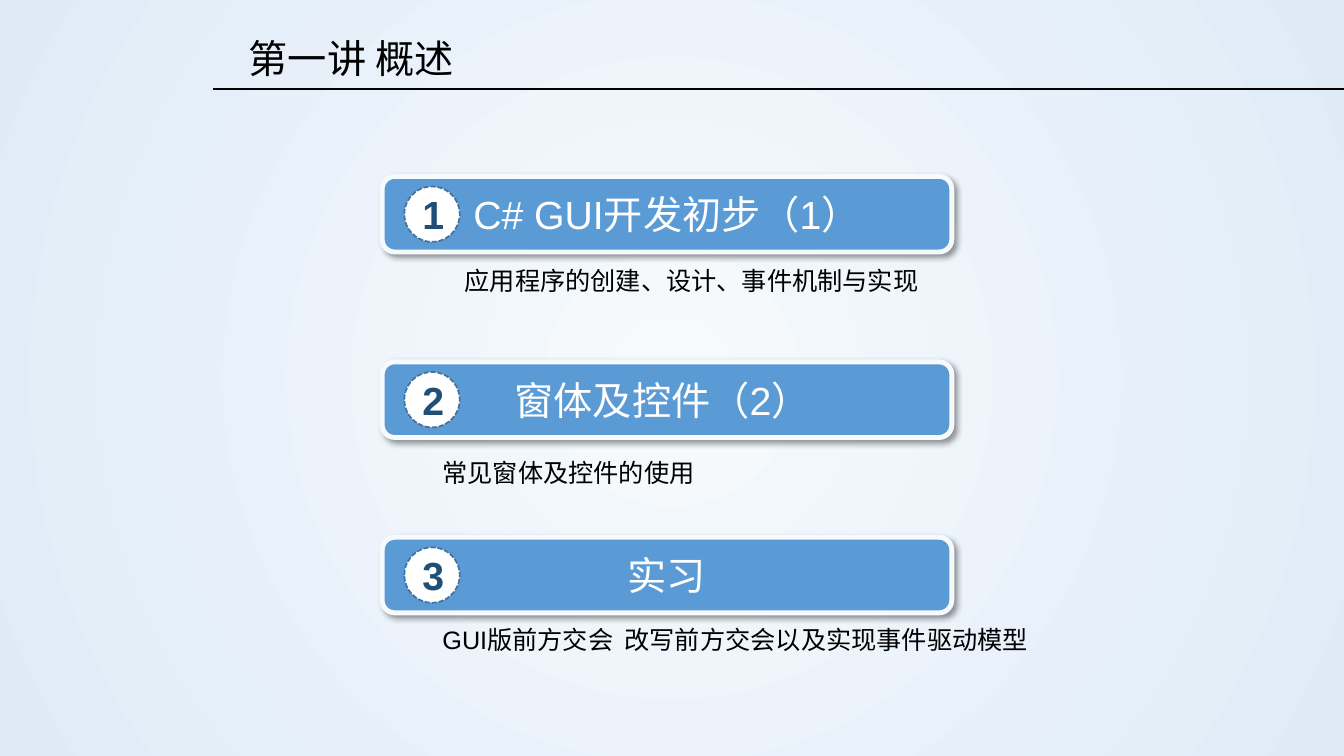
from lxml import etree
from pptx import Presentation
from pptx.dml.color import RGBColor as RGB
from pptx.enum.dml import MSO_LINE as Dash
from pptx.enum.shapes import MSO_CONNECTOR as Conn, MSO_SHAPE as Kind
from pptx.enum.text import MSO_ANCHOR as Anchor, PP_ALIGN as Align
from pptx.oxml import parse_xml
from pptx.oxml.ns import nsdecls, qn
from pptx.util import Inches, Pt


def color(code):
    return RGB.from_string(code)


def write(shape, text, size, code, bold=False, **form):
    frame = shape.text_frame
    frame.word_wrap = True
    para = frame.paragraphs[0]
    for name, value in form.items():
        setattr(frame if name == "vertical_anchor" else para, name, value)
    run = para.add_run()
    run.text = text
    looks = {"name": "Arial", "size": Pt(size), "bold": bold}
    for name, value in looks.items():
        setattr(run.font, name, value)
    run.font.color.rgb = color(code)
    return para


prs = Presentation()
prs.slide_width, prs.slide_height = Inches(13.33), Inches(7.5)
slide = prs.slides.add_slide(prs.slide_layouts[6])
shapes = slide.shapes

# Radial background
fill = slide.background.fill
fill.gradient()
for stop, code in zip(fill.gradient_stops, ("F7FAFD", "DEEBF7")):
    stop.color.rgb = color(code)
lin = next(slide.background._cSld.iter(qn("a:lin")))
lin.getparent().replace(lin, parse_xml(
    f'<a:path {nsdecls("a")} path="circle">'
    '<a:fillToRect l="50000" t="50000" r="50000" b="50000"/></a:path>'))

# Title and rule
rule = shapes.add_connector(
    Conn.STRAIGHT, Inches(2.11), Inches(0.88), Inches(13.33), Inches(0.88))
rule.line.color.rgb = color("000000")
rule.line.width = Pt(1.25)
etree.SubElement(rule._element.spPr, qn("a:effectLst"))
title = shapes.add_textbox(Inches(2.37), Inches(0.29), Inches(3.04), Inches(0.57))
write(title, "第一讲 概述", 28, "000000")

# Topics: bar top, bar text, note left, top and width, note text
topics = [
    (1.75, "C# GUI开发初步（1）", 4.01, 2.58, 5.92,
     "应用程序的创建、设计、事件机制与实现"),
    (3.59, "窗体及控件（2） ", 3.79, 4.49, 6.7, "常见窗体及控件的使用"),
    (5.33, "实习", 3.79, 6.14, 6.7,
     "GUI版前方交会  改写前方交会以及实现事件驱动模型"),
]
mid = {"alignment": Align.CENTER, "vertical_anchor": Anchor.MIDDLE}

for num, (top, head, left, low, wide, note) in enumerate(topics, 1):
    group = shapes.add_group_shape()

    # Bar with a soft shadow
    bar = group.shapes.add_shape(
        Kind.ROUNDED_RECTANGLE, Inches(3.79), Inches(top), Inches(5.65), Inches(0.75))
    bar.fill.solid()
    bar.fill.fore_color.rgb = color("5B9BD5")
    bar.line.color.rgb = color("F7FAFD")
    bar.line.width = Pt(3.5)
    bar._element.spPr.append(parse_xml(
        f'<a:effectLst {nsdecls("a")}><a:outerShdw blurRad="{Pt(4)}" dist="{Pt(3)}" '
        'dir="2700000" algn="tl" rotWithShape="0"><a:srgbClr val="000000">'
        '<a:alpha val="40000"/></a:srgbClr></a:outerShdw></a:effectLst>'))
    write(bar, head, 28, "FFFFFF", **mid)

    # Number badge
    badge = group.shapes.add_shape(
        Kind.OVAL, Inches(4.01), Inches(top + 0.1), Inches(0.55), Inches(0.55))
    badge.shadow.inherit = False
    badge.fill.solid()
    badge.fill.fore_color.rgb = color("FFFFFF")
    badge.line.color.rgb = color("43739E")
    badge.line.width = Pt(1.25)
    badge.line.dash_style = Dash.SQUARE_DOT
    write(badge, str(num), 28, "1F4E79", True, **mid)

    # Indented note
    box = shapes.add_textbox(Inches(left), Inches(low), Inches(wide), Inches(0.4))
    para = write(box, note, 18, "000000", level=1)
    para._p.get_or_add_pPr().set("marL", str(Inches(0.5)))

prs.save("out.pptx")
